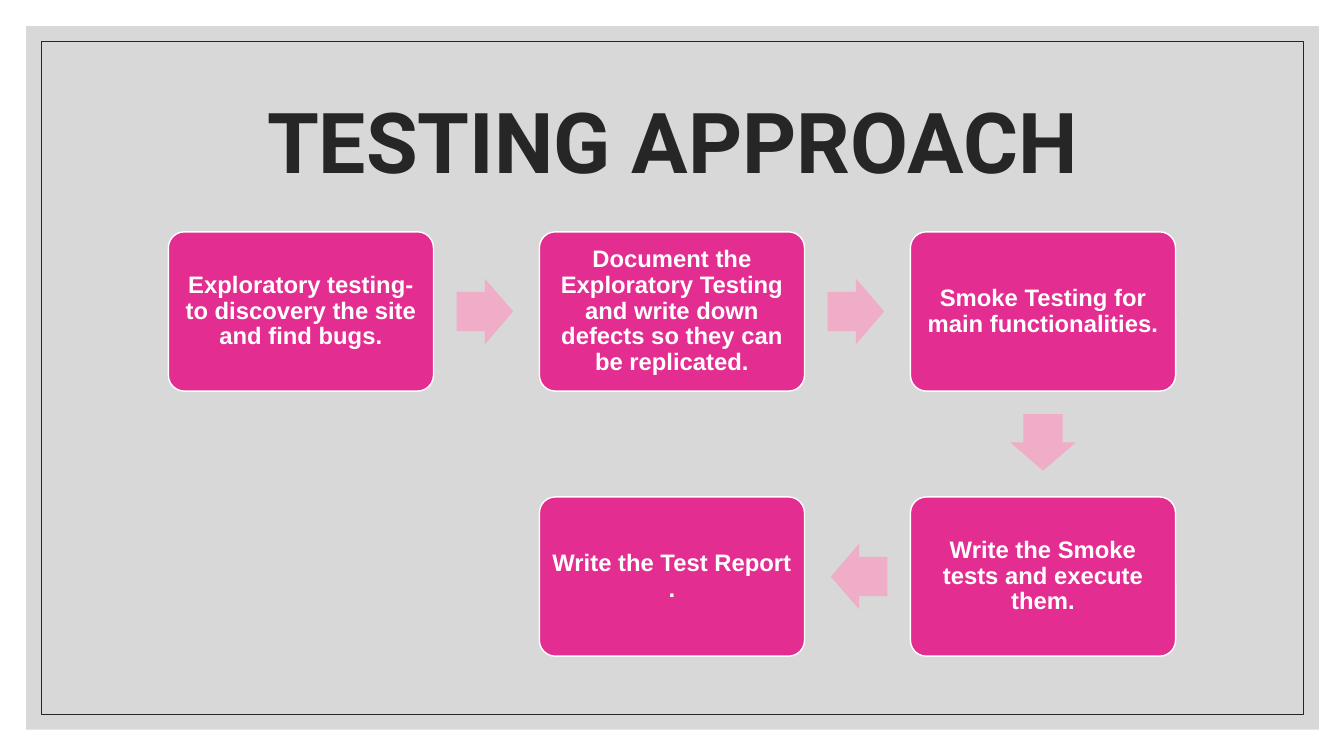
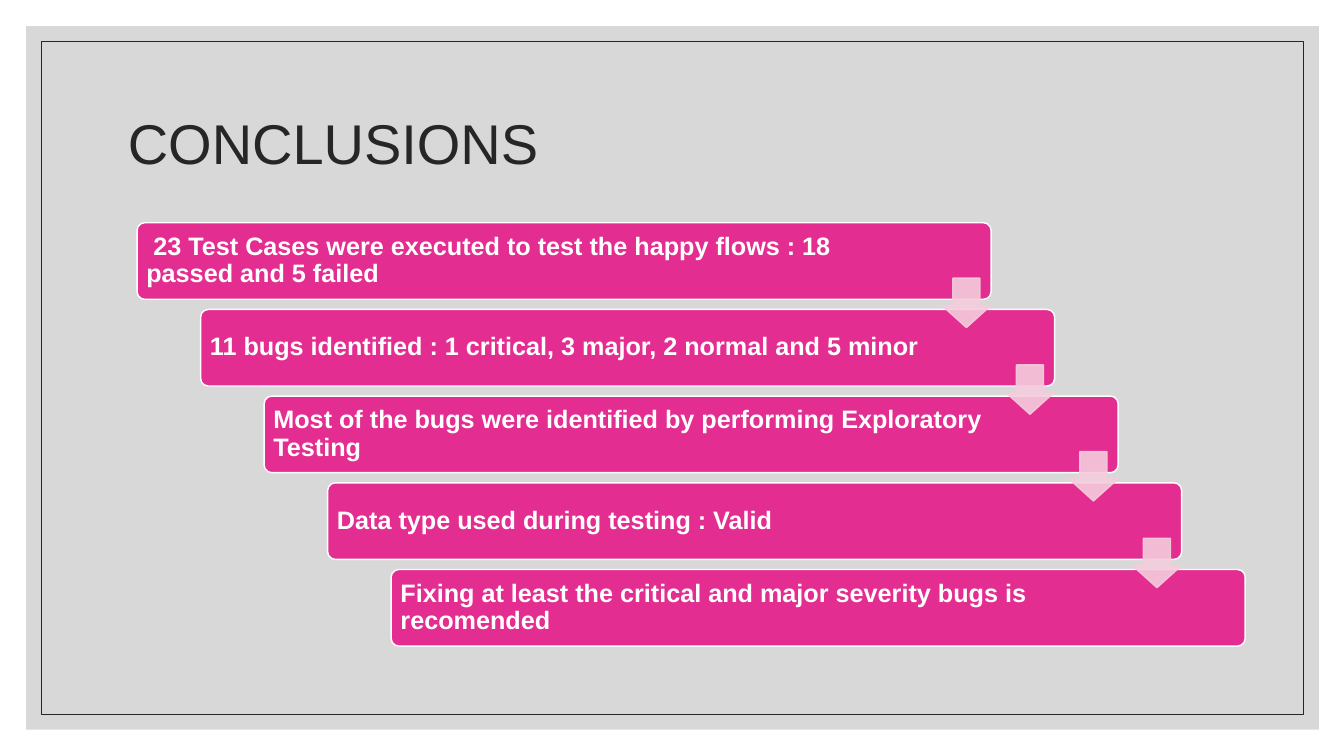
from dataclasses import dataclass

from lxml.etree import SubElement
from pptx import Presentation
from pptx.dml.color import RGBColor
from pptx.enum.shapes import MSO_SHAPE
from pptx.enum.text import MSO_ANCHOR, PP_ALIGN
from pptx.oxml.ns import qn
from pptx.util import Inches, Pt


@dataclass(frozen=True)
class Theme:
    """Colours, fonts and type sizes shared by the slides."""

    panel: str = "BFBFBF"
    ink: str = "262626"
    accent: str = "E32D91"
    on_accent: str = "FFFFFF"
    flow_arrow: str = "EFADC7"
    stair_arrow: str = "F4CDDC"
    font: str = "Arial"
    display_font: str = "Roboto"
    display_size: int = 60
    title_size: int = 40
    step_size: int = 17
    finding_size: int = 18


class Deck:
    """Holds the theme and the current slide and draws each kind of element."""

    def __init__(self, theme):
        """Start an empty widescreen presentation."""
        self.theme = theme
        self.presentation = Presentation()
        self.presentation.slide_width = Inches(13.33)
        self.presentation.slide_height = Inches(7.5)
        self.slide = None

    def new_slide(self):
        """Add a blank slide with the grey panel and its thin frame."""
        self.slide = self.presentation.slides.add_slide(self.presentation.slide_layouts[6])
        self.shape(MSO_SHAPE.RECTANGLE, 0.26, 0.26, 12.82, 6.98, fill=self.theme.panel, opacity=60)
        self.shape(MSO_SHAPE.RECTANGLE, 0.41, 0.41, 12.52, 6.68, line=self.theme.ink, line_width=0.5)

    def shape(self, preset, left, top, width, height, fill=None, line=None,
              line_width=1, opacity=100, adjustments=()):
        """Draw a preset shape with the given fill, line and opacity."""
        shape = self.slide.shapes.add_shape(
            preset, Inches(left), Inches(top), Inches(width), Inches(height))
        shape.shadow.inherit = False
        for index, value in enumerate(adjustments):
            shape.adjustments[index] = value
        if fill:
            shape.fill.solid()
            shape.fill.fore_color.rgb = RGBColor.from_string(fill)
        else:
            shape.fill.background()
        if line:
            shape.line.color.rgb = RGBColor.from_string(line)
            shape.line.width = Pt(line_width)
        else:
            shape.line.fill.background()
        if opacity < 100:
            for colour in shape.element.iter(qn("a:srgbClr")):
                SubElement(colour, qn("a:alpha"), val=str(opacity * 1000))
        return shape

    def set_text(self, frame, text, size, colour, font, bold, align):
        """Set one vertically centred paragraph in a text frame."""
        frame.word_wrap = True
        frame.vertical_anchor = MSO_ANCHOR.MIDDLE
        paragraph = frame.paragraphs[0]
        paragraph.text = text
        paragraph.alignment = align
        paragraph.line_spacing = 0.9
        paragraph.font.size = Pt(size)
        paragraph.font.name = font
        paragraph.font.bold = bold
        paragraph.font.color.rgb = RGBColor.from_string(colour)

    def title(self, text, size, font, bold=False, align=PP_ALIGN.LEFT):
        """Add the slide title."""
        title = self.slide.shapes.add_textbox(Inches(1.17), Inches(0.7), Inches(11), Inches(1.5))
        self.set_text(title.text_frame, text, size, self.theme.ink, font, bold, align)

    def card(self, text, left, top, width, height, size, align, right_inset=0.07):
        """Draw a rounded accent card with bold text."""
        card = self.shape(MSO_SHAPE.ROUNDED_RECTANGLE, left, top, width, height,
                          fill=self.theme.accent, line=self.theme.on_accent, adjustments=(0.1,))
        frame = card.text_frame
        frame.margin_left = frame.margin_top = frame.margin_bottom = Inches(0.07)
        frame.margin_right = Inches(right_inset)
        self.set_text(frame, text, size, self.theme.on_accent, self.theme.font, True, align)

    def flow_arrow(self, centre_x, centre_y, rotation):
        """Draw a block arrow around a centre point."""
        width, height = 0.56, 0.65
        arrow = self.shape(MSO_SHAPE.RIGHT_ARROW, centre_x - width / 2, centre_y - height / 2,
                           width, height, fill=self.theme.flow_arrow, adjustments=(0.6, 0.5))
        arrow.rotation = rotation

    def stair_arrow(self, left, top):
        """Draw a translucent arrow leading down to the next bar."""
        colour = self.theme.stair_arrow
        self.shape(MSO_SHAPE.DOWN_ARROW, left, top, 0.49, 0.49, fill=colour, line=colour,
                   opacity=90, adjustments=(0.55, 0.45))


def testing_approach(deck):
    """Build the flow of testing steps."""
    theme = deck.theme
    deck.new_slide()
    deck.title("TESTING APPROACH", theme.display_size, theme.display_font, True, PP_ALIGN.CENTER)
    steps = [
        ("Exploratory testing- to discovery the site and find bugs.", 0, 0, (1, 0, 0)),
        ("Document the Exploratory Testing and write down defects so they can be replicated.",
         1, 0, (1, 0, 0)),
        ("Smoke Testing for main functionalities.", 2, 0, (0, 1, 90)),
        ("Write the Smoke tests and execute them.", 2, 1, (-1, 0, 180)),
        ("Write the Test Report .", 1, 1, None),
    ]
    width, height, arrow_offset = 2.63, 1.58, 0.51
    for text, column, row, direction in steps:
        left, top = 1.67 + 3.68 * column, 2.3 + 2.63 * row
        deck.card(text, left, top, width, height, theme.step_size, PP_ALIGN.CENTER)
        if direction:
            across, down, rotation = direction
            deck.flow_arrow(left + width / 2 + across * (width / 2 + arrow_offset),
                            top + height / 2 + down * (height / 2 + arrow_offset), rotation)


def conclusions(deck):
    """Build the staircase of findings."""
    theme = deck.theme
    deck.new_slide()
    deck.title("CONCLUSIONS", theme.title_size, theme.font)
    findings = [
        " 23 Test Cases were executed to test the happy flows : 18 passed and 5 failed",
        "11 bugs identified : 1 critical, 3 major, 2 normal and 5 minor",
        "Most of the bugs were identified by performing Exploratory Testing",
        "Data type used during testing : Valid",
        "Fixing at least the critical and major severity bugs is recomended",
    ]
    stairs = [(1.36 + 0.63 * index, 2.21 + 0.86 * index) for index in range(len(findings))]
    for text, (left, top) in zip(findings, stairs):
        deck.card(text, left, top, 8.47, 0.76, theme.finding_size, PP_ALIGN.LEFT, right_inset=1.2)
    for left, top in stairs[:-1]:
        deck.stair_arrow(left + 7.98, top + 0.55)


def main():
    """Build and save the presentation."""
    deck = Deck(Theme())
    testing_approach(deck)
    conclusions(deck)
    deck.presentation.save("out.pptx")


if __name__ == "__main__":
    main()
